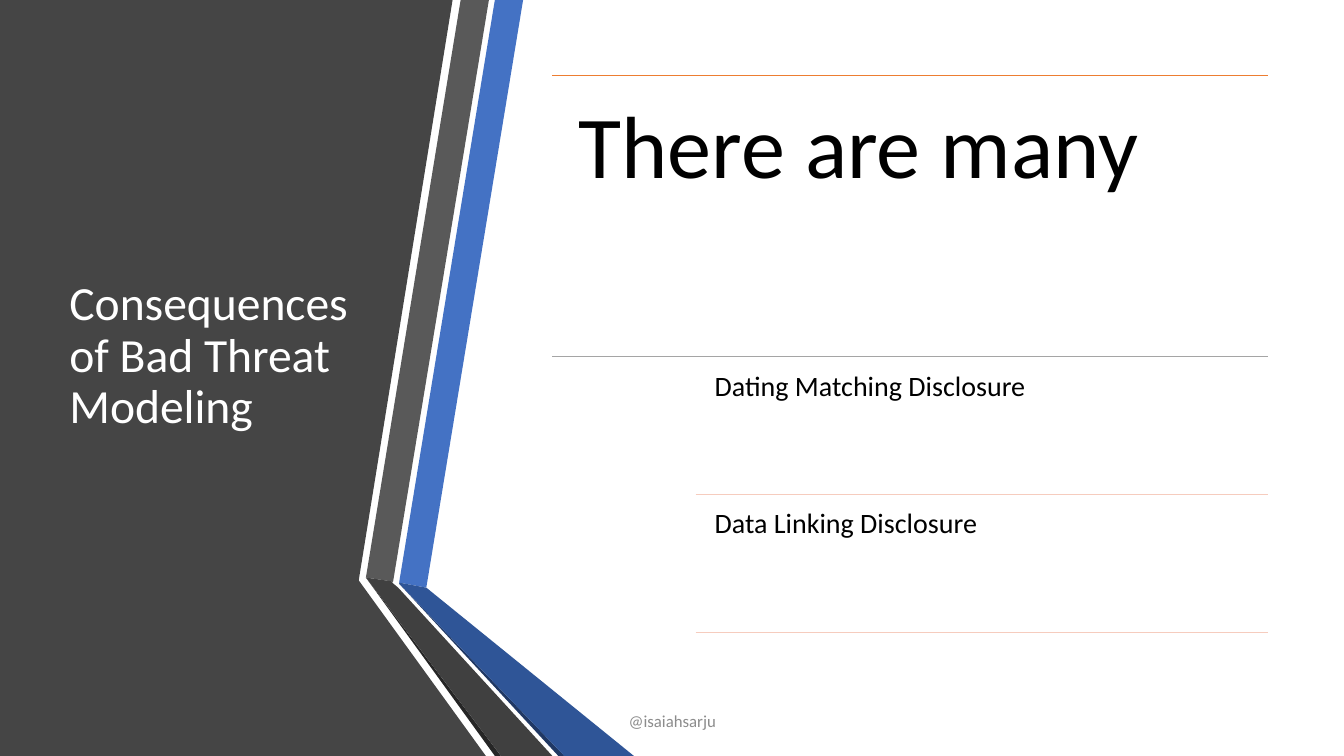
import pptx
import pptx.dml.color
import pptx.enum.shapes
import pptx.enum.text
import pptx.oxml.ns
import pptx.util
from lxml import etree

# Grid of square cells, ten to the inch
CELL = 91440
COLS, ROWS = 133.33, 75
FONT = "Calibri"

# Content columns and the rhythm of the detail rows
LEFT, INDENT, RIGHT = 54.8, 69, 125.8
HEAD_TOP, DETAIL_TOP, DETAIL_STEP = 7.5, 35.4, 13.65
DETAILS = ["Dating Matching Disclosure", "Data Linking Disclosure"]

# Left panel and folded ribbons: fill and outline, from back to front
PANEL = [("454545", [(0, 0), (44.9, 0), (35.6, 57.5), (35.6, 57.6), (48.2, ROWS), (0, ROWS)])]
RIBBONS = [
    ("4472C4", [(39.6, 57.8), (42.3, 58.3), (51.9, 0), (49.1, 0)]),
    ("595959", [(48.5, 0), (45.7, 0), (36.3, 57.3), (39, 57.7)]),
    ("262626", [(36.3, 57.3), (49.1, ROWS), (49.7, ROWS)]),
    ("203864", [(39.6, 57.9), (55.4, ROWS), (56, ROWS)]),
    ("2F5597", [(39.6, 57.9), (56, ROWS), (62.9, ROWS), (42.3, 58.3), (39.6, 57.8)]),
    ("404040", [(54.8, ROWS), (39.5, 58.3), (38.9, 57.8), (39, 57.7), (36.3, 57.3), (49.7, ROWS)]),
]


def cells(n):
    return pptx.util.Emu(round(n * CELL))


def color(hex_code):
    return pptx.dml.color.RGBColor.from_string(hex_code)


def add_outline(shapes, fill, points):
    (x, y), *rest = points
    builder = shapes.build_freeform(cells(x), cells(y))
    builder.add_line_segments([(cells(a), cells(b)) for a, b in rest], close=True)
    sp = builder.convert_to_shape()
    sp.shadow.inherit = False
    sp.fill.solid()
    sp.fill.fore_color.rgb = color(fill)
    sp.line.fill.background()


def add_rule(shapes, x, y, line_color):
    s = shapes.add_connector(pptx.enum.shapes.MSO_CONNECTOR.STRAIGHT,
                             cells(x), cells(y), cells(RIGHT), cells(y))
    s.line.color.rgb = color(line_color)
    s.line.width = pptx.util.Pt(0.5)
    etree.SubElement(s._element.spPr, pptx.oxml.ns.qn("a:effectLst"))


def add_text(shapes, box, text, size, font_color, insets=(1, 0.5),
             middle=False, centered=False, spacing=0.9):
    s = shapes.add_textbox(*[cells(n) for n in box])
    tf = s.text_frame
    tf.word_wrap = True
    tf.margin_left = tf.margin_right = cells(insets[0])
    tf.margin_top = tf.margin_bottom = cells(insets[1])
    anchor = pptx.enum.text.MSO_ANCHOR
    tf.vertical_anchor = anchor.MIDDLE if middle else anchor.TOP
    p = tf.paragraphs[0]
    align = pptx.enum.text.PP_ALIGN
    p.alignment = align.CENTER if centered else align.LEFT
    p.line_spacing = spacing
    r = p.add_run()
    r.text = text
    r.font.name = FONT
    r.font.size = pptx.util.Pt(size)
    r.font.color.rgb = color(font_color)


def main():
    prs = pptx.Presentation()
    prs.slide_width, prs.slide_height = cells(COLS), cells(ROWS)
    slide = prs.slides.add_slide(prs.slide_layouts[6])
    shapes = slide.shapes

    # Panel, ribbons and title
    for fill, points in PANEL:
        add_outline(shapes, fill, points)
    ribbons = shapes.add_group_shape()
    for fill, points in RIBBONS:
        add_outline(ribbons.shapes, fill, points)
    add_text(shapes, (5.9, 7.5, 30.4, 55.8), "Consequences of Bad Threat Modeling",
             34, "FFFFFF", middle=True)

    # Headline between two full-width rules
    content = shapes.add_group_shape().shapes
    add_rule(content, LEFT, HEAD_TOP, "ED7D31")
    add_text(content, (LEFT, HEAD_TOP, RIGHT - LEFT, DETAIL_TOP - HEAD_TOP),
             "There are many", 63, "000000", insets=(2.6, 2.6))
    add_rule(content, LEFT, DETAIL_TOP, "A5A5A5")

    # Detail rows, each closed by an indented rule
    for i, detail in enumerate(DETAILS):
        top = DETAIL_TOP + i * DETAIL_STEP
        add_text(content, (INDENT + 1.1, top + 0.7, RIGHT - INDENT - 1.1, 13),
                 detail, 20, "000000", insets=(0.8, 0.8))
        add_rule(content, INDENT, top + DETAIL_STEP, "F6CCBE")

    # Footer
    add_text(shapes, (44.2, 69.5, 45, 4), "@isaiahsarju", 12, "8C8C8C",
             middle=True, centered=True, spacing=1.0)

    prs.save("out.pptx")


if __name__ == "__main__":
    main()
